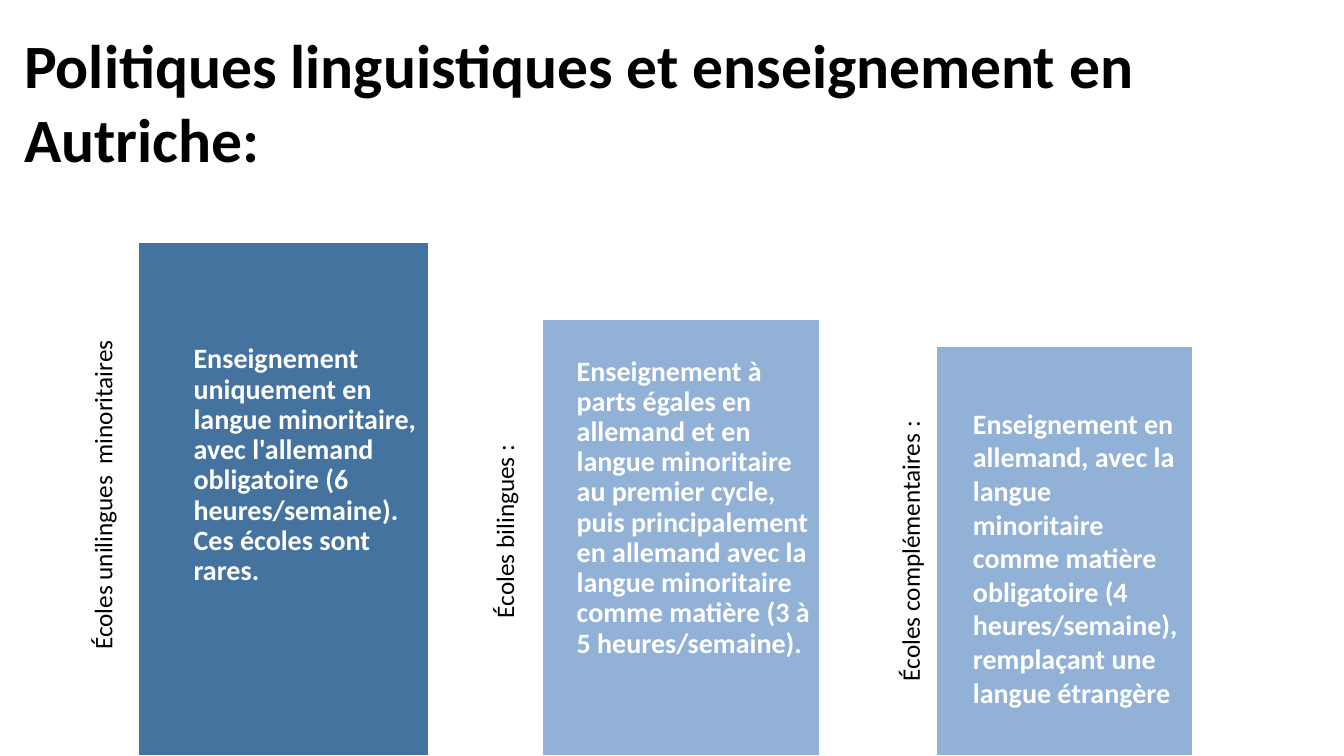
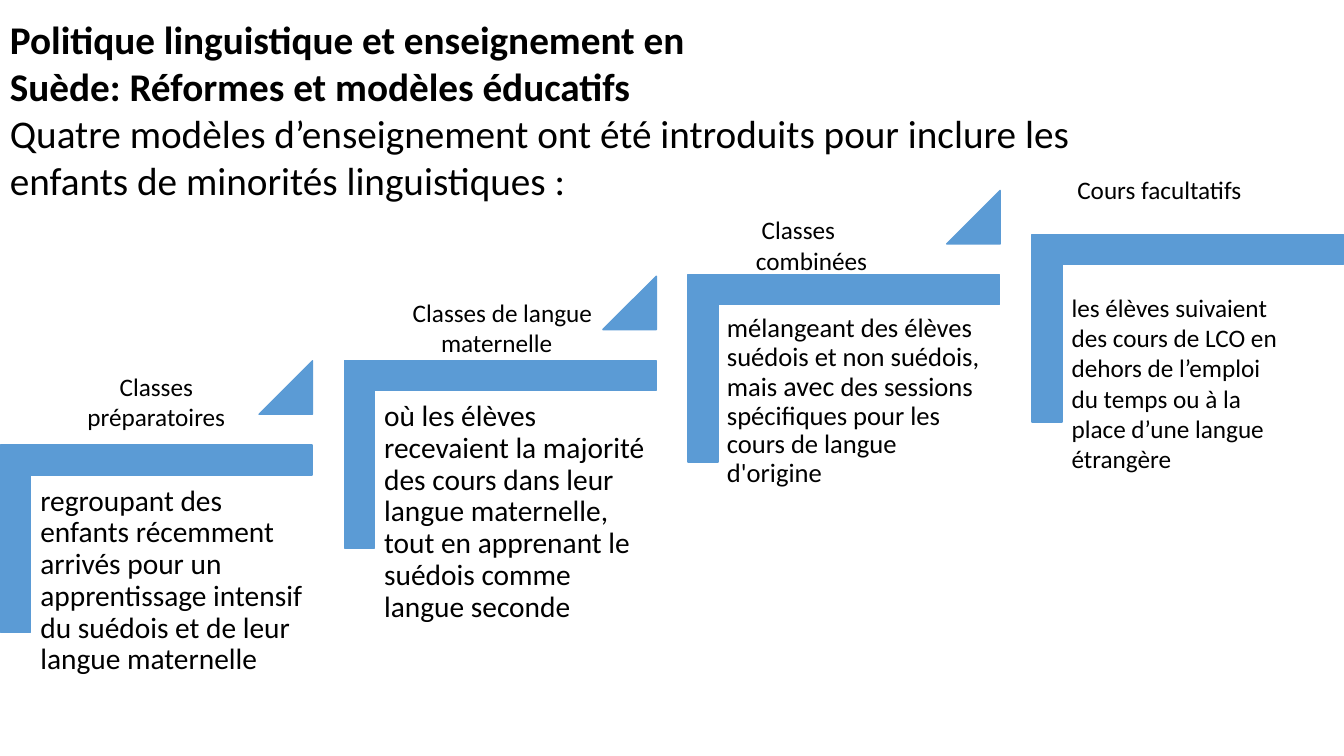
from pptx import Presentation
from pptx.dml.color import RGBColor
from pptx.enum.shapes import MSO_SHAPE
from pptx.enum.text import PP_ALIGN
from pptx.util import Emu, Pt

PX = 9144  # EMU per px, 100 px to the inch
FONT = "Calibri"
BLACK = RGBColor(0x00, 0x00, 0x00)
WHITE = RGBColor(0xFF, 0xFF, 0xFF)
DARK_BLUE = RGBColor(0x43, 0x73, 0x9E)
PALE_BLUE = RGBColor(0x91, 0xB1, 0xD6)
STEP_BLUE = RGBColor(0x5B, 0x9B, 0xD5)
RECTANGLE = MSO_SHAPE.RECTANGLE
CORNER = MSO_SHAPE.CORNER
TRIANGLE = MSO_SHAPE.ISOSCELES_TRIANGLE
LEFT = PP_ALIGN.LEFT
CENTER = PP_ALIGN.CENTER


def add_text(slide, box, text, size, color=BLACK, bold=False, inset=None,
             spacing=None, align=LEFT, wrap=True):
    """Add a text box; box is left, top, width, height in px."""
    shape = slide.shapes.add_textbox(*[Emu(length * PX) for length in box])
    frame = shape.text_frame
    frame.word_wrap = wrap
    if inset is not None:
        frame.margin_left = frame.margin_right = Emu(inset * PX)
        frame.margin_top = frame.margin_bottom = Emu(inset * PX)
    frame.text = text
    for paragraph in frame.paragraphs:
        paragraph.alignment = align
        paragraph.line_spacing = spacing
        paragraph.font.size = Pt(size)
        for run in paragraph.runs:
            run.font.name = FONT
            run.font.size = Pt(size)
            run.font.bold = bold
            run.font.color.rgb = color
    return shape


def add_block(slide, kind, box, fill, outline):
    """Add a filled preset shape; box is left, top, width, height in px."""
    shape = slide.shapes.add_shape(kind, *[Emu(length * PX) for length in box])
    shape.shadow.inherit = False
    shape.fill.solid()
    shape.fill.fore_color.rgb = fill
    shape.line.color.rgb = outline
    shape.line.width = Pt(1)
    return shape


presentation = Presentation()
presentation.slide_width = Emu(1333 * PX)
presentation.slide_height = Emu(750 * PX)
blank_layout = presentation.slide_layouts[6]

# Slide 1: three columns with upright labels
slide = presentation.slides.add_slide(blank_layout)
add_text(slide, (14, 22, 1281, 158),
         "Politiques linguistiques et enseignement en Autriche:", 44, bold=True)

# column box, fill, text box, inset, line spacing, text
columns = [
    ((137, 240, 288, 510), DARK_BLUE, (184, 334, 245, 327), 8, 0.9,
     "Enseignement uniquement en langue minoritaire, avec l'allemand "
     "obligatoire (6 heures/semaine). Ces écoles sont rares."),
    ((538, 317, 275, 433), PALE_BLUE, (564, 346, 250, 339), 8, 0.9,
     "Enseignement à parts égales en allemand et en langue minoritaire au "
     "premier cycle, puis principalement en allemand avec la langue "
     "minoritaire comme matière (3 à 5 heures/semaine)."),
    ((929, 344, 254, 406), PALE_BLUE, (959, 397, 220, 452), 6, None,
     "Enseignement en allemand, avec la langue minoritaire comme matière "
     "obligatoire (4 heures/semaine), remplaçant une langue étrangère"),
]
for column_box, fill, text_box, inset, spacing, text in columns:
    add_block(slide, RECTANGLE, column_box, fill, WHITE)
    add_text(slide, text_box, text, 20, WHITE, True, inset, spacing)

column_labels = [
    ((-73, 429, 380, 71), "Écoles unilingues  minoritaires", True),
    ((391, 463, 249, 71), "Écoles bilingues :", True),
    ((762, 525, 281, 40), "Écoles complémentaires :", False),
]
for box, text, wrap in column_labels:
    label = add_text(slide, box, text, 18, wrap=wrap)
    label.rotation = 270

# Slide 2: rising staircase of four teaching models
slide = presentation.slides.add_slide(blank_layout)
heading = add_text(
    slide, (0, 10, 1192, 199),
    "Politique linguistique et enseignement en \vSuède: Réformes et modèles "
    "éducatifs\nQuatre modèles d’enseignement ont été introduits pour inclure "
    "les enfants de minorités linguistiques :", 28, bold=True)
for run in heading.text_frame.paragraphs[1].runs:
    run.font.bold = False

# Stair brackets, with a triangle leading up to the next step
STEP_WIDTH = 341
step_tops = [380, 296, 211, 171]
for index, top in enumerate(step_tops):
    offset = index * STEP_WIDTH
    bracket = add_block(slide, CORNER, (62 + offset, top, 186, 309),
                        STEP_BLUE, STEP_BLUE)
    bracket.rotation = 90
    bracket.adjustments[0] = bracket.adjustments[1] = 0.16
    if index < len(step_tops) - 1:
        triangle = add_block(slide, TRIANGLE, (257 + offset, top - 22, 53, 53),
                             STEP_BLUE, STEP_BLUE)
        triangle.adjustments[0] = 1

# Descriptions under the first three steps: size, inset, pieces of text
descriptions = [
    (21, 9, ["regroupant des enfants récemment arrivés pour un apprentissage "
             "intensif du suédois et de leur langue maternelle"]),
    (21, 9, ["où les élèves recevaient la majorité des cours dans leur langue "
             "maternelle, tout en apprenant le suédois comme langue seconde"]),
    (19, 8, ["mélangeant des élèves suédois et non suédois, mais ", "avec",
             " des sessions spécifiques pour les cours de langue d'origine"]),
]
for index, (size, inset, pieces) in enumerate(descriptions):
    box = (31 + index * STEP_WIDTH, step_tops[index] + 93, 279, 244)
    shape = add_text(slide, box, pieces[0], size, inset=inset, spacing=0.9)
    paragraph = shape.text_frame.paragraphs[0]
    for piece in pieces[1:]:
        run = paragraph.add_run()
        run.text = piece
        run.font.name = FONT
        run.font.size = Pt(20 if piece == "avec" else size)
        run.font.color.rgb = BLACK

# Step labels and the last description
step_texts = [
    ((44, 363, 222, 71), "Classes préparatoires", CENTER),
    ((390, 290, 211, 71), " Classes de langue maternelle ", CENTER),
    ((740, 208, 156, 71), " Classes combinées", LEFT),
    ((1053, 168, 225, 40), " Cours facultatifs", LEFT),
    ((1053, 285, 230, 192),
     "les élèves suivaient des cours de LCO en dehors de l’emploi du temps ou "
     "à la place d’une langue étrangère", LEFT),
]
for box, text, align in step_texts:
    add_text(slide, box, text, 18, align=align)

presentation.save("out.pptx")
